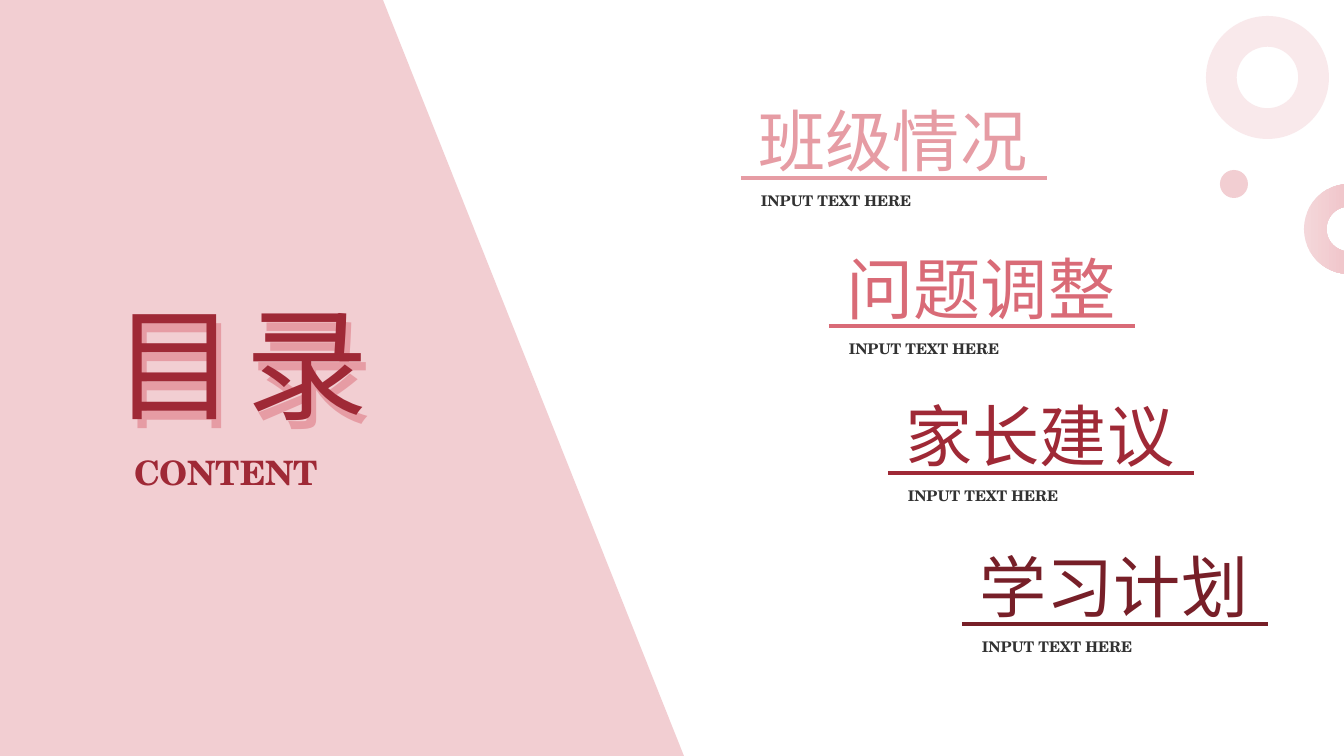
from lxml.etree import SubElement
from pptx import Presentation
from pptx.dml.color import RGBColor
from pptx.enum.shapes import MSO_CONNECTOR as CONNECTOR, MSO_SHAPE as SHAPE
from pptx.enum.text import MSO_ANCHOR as ANCHOR, MSO_AUTO_SIZE as AUTO_SIZE, PP_ALIGN as ALIGN
from pptx.oxml.ns import qn
from pptx.util import Pt

EMU_PER_PX = 914400 / 100.8
WIDTH, HEIGHT = 1344, 756
CJK, SERIF = "Noto Sans CJK JP", "TeX Gyre Schola"
BLUSH, ROSE, CORAL, CRIMSON, WINE, INK = "F2CED2", "E69CA4", "D96B77", "9F2936", "771F28", "323232"

# Title, colour, left and top of each entry
ENTRIES = [
    ("班级情况", ROSE, 751, 101),
    ("问题调整", CORAL, 839, 249),
    ("家长建议", CRIMSON, 898, 396),
    ("学习计划", WINE, 972, 547),
]


def px(*lengths):
    """Turn pixel lengths into a list of EMU."""
    return [round(length * EMU_PER_PX) for length in lengths]


def rgb(colour):
    return RGBColor.from_string(colour)


def set_alpha(parent, percent):
    """Make every colour inside an XML element partly transparent."""
    for colour in parent.iter(qn("a:srgbClr")):
        SubElement(colour, qn("a:alpha"), val=str(percent * 1000))


def add_text(shapes, text, place, size, font, colour, align=ALIGN.LEFT, bold=False, spacing=None):
    """Add a one-line text box that grows with its text."""
    box = shapes.add_textbox(*px(*place))
    frame = box.text_frame
    frame.word_wrap = True
    frame.auto_size = AUTO_SIZE.SHAPE_TO_FIT_TEXT
    para = frame.paragraphs[0]
    para.alignment = align
    if spacing:
        para.line_spacing = spacing
    span = para.add_run()
    span.text = text
    span.font.name = font
    span.font.size = Pt(size)
    span.font.bold = bold
    span.font.color.rgb = rgb(colour)
    SubElement(span.font._element, qn("a:ea"), typeface=font)
    return box


def add_rule(shapes, left, right, y, colour):
    rule = shapes.add_connector(CONNECTOR.STRAIGHT, *px(left, y, right, y))
    rule.line.color.rgb = rgb(colour)
    rule.line.width = Pt(2.25)
    SubElement(rule._element.spPr, qn("a:effectLst"))


def add_plain_shape(page, kind, place):
    shape = page.shapes.add_shape(kind, *px(*place))
    shape.shadow.inherit = False
    shape.line.fill.background()
    return shape


def fill_solid(shape, colour):
    shape.fill.solid()
    shape.fill.fore_color.rgb = rgb(colour)


def add_panel(page):
    builder = page.shapes.build_freeform(0, 0, EMU_PER_PX)
    builder.add_line_segments([(383, 0), (684, HEIGHT), (0, HEIGHT)], close=True)
    panel = builder.convert_to_shape()
    panel.shadow.inherit = False
    panel.line.fill.background()
    fill_solid(panel, BLUSH)


def add_heading(page):
    for place, colour in [((109, 291, 350, 158), ROSE), ((104, 282, 290, 158), CRIMSON)]:
        box = add_text(page.shapes, "目录", place, 88, CJK, colour, ALIGN.JUSTIFY)
        box.text_frame.paragraphs[0].runs[0].font._element.set("spc", "600")
    box = add_text(page.shapes, "CONTENT", (130, 435, 273, 63), 24, SERIF, CRIMSON,
                   ALIGN.JUSTIFY, bold=True, spacing=1.3)
    box.text_frame.margin_left, box.text_frame.margin_right = px(4, 4)


def add_entry(page, title, colour, left, top):
    shapes = page.shapes.add_group_shape().shapes
    box = add_text(shapes, title, (left, top, 284, 78), 48, CJK, colour, ALIGN.CENTER)
    box.text_frame.word_wrap = False
    box.text_frame.auto_size = AUTO_SIZE.NONE
    box.text_frame.vertical_anchor = ANCHOR.MIDDLE
    add_text(shapes, "INPUT TEXT HERE", (left, top + 81, 285, 33), 10.5, SERIF, INK,
             bold=True, spacing=1.3)
    add_rule(shapes, left - 10, left + 296, top + 77, colour)


def add_ornaments(page):
    ring = add_plain_shape(page, SHAPE.DONUT, (1206, 16, 123, 123))
    fill_solid(ring, BLUSH)
    set_alpha(ring._element.spPr, 43)

    arc = add_plain_shape(page, SHAPE.BLOCK_ARC, (1304, 184, 90, 90))
    arc.rotation = 270
    arc.fill.gradient()
    arc.fill.gradient_angle = 270
    for stop, colour in zip(arc.fill.gradient_stops, (BLUSH, ROSE)):
        stop.color.rgb = rgb(colour)
    set_alpha(arc._element.spPr, 80)

    fill_solid(add_plain_shape(page, SHAPE.OVAL, (1220, 170, 28, 28)), BLUSH)


def main():
    deck = Presentation()
    deck.slide_width, deck.slide_height = px(WIDTH, HEIGHT)
    page = deck.slides.add_slide(deck.slide_layouts[6])
    add_panel(page)
    add_heading(page)
    for entry in ENTRIES:
        add_entry(page, *entry)
    add_ornaments(page)
    deck.save("out.pptx")


if __name__ == "__main__":
    main()
